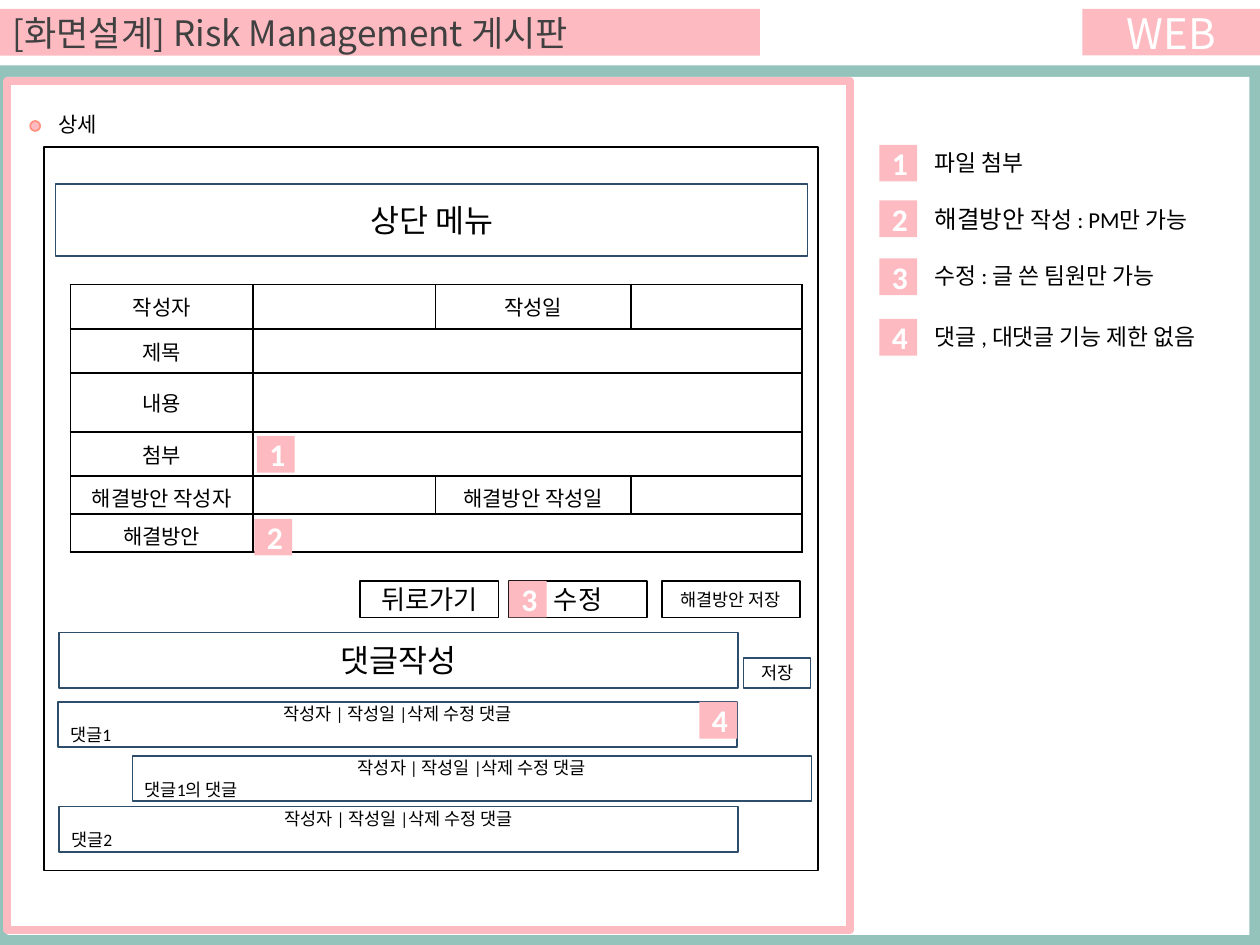
from lxml import etree
from pptx import Presentation
from pptx.dml.color import RGBColor
from pptx.enum import shapes, text
from pptx.oxml import ns
from pptx.util import Cm, Pt

TEAL = RGBColor(0x94, 0xC3, 0xBB)
PINK = RGBColor(0xFD, 0xBB, 0xC1)
CORAL = RGBColor(0xFE, 0x90, 0x7E)
NAVY = RGBColor(0x2D, 0x4D, 0x6A)
GREY = RGBColor(0x40, 0x40, 0x40)
BLACK = RGBColor(0, 0, 0)
WHITE = RGBColor(255, 255, 255)
BODY_FONT, KOREAN_FONT = "Calibri", "Noto Sans CJK KR"
LEFT, CENTER = text.PP_ALIGN.LEFT, text.PP_ALIGN.CENTER
RECT, OVAL = shapes.MSO_SHAPE.RECTANGLE, shapes.MSO_SHAPE.OVAL

TITLE = "[화면설계] Risk Management 게시판"
COMMENT_HEADER = "작성자 | 작성일 |삭제 수정 댓글"
COLUMNS = [3.68, 3.68, 3.94, 3.45]
ROWS = [
    (0.89, ["작성자", "", "작성일", ""]),
    (0.89, ["제목", ""]),
    (1.19, ["내용", ""]),
    (0.89, ["첨부", ""]),
    (0.76, ["해결방안 작성자", "", "해결방안 작성일", ""]),
    (0.76, ["해결방안", ""]),
]
BUTTONS = [(7.26, "뒤로가기", 15), (10.26, "수정", 15), (13.34, "해결방안 저장", 10)]
PANELS = [
    ((1.12, 3.71, 15.16, 1.45), "상단 메뉴", 18),
    ((1.19, 12.75, 13.69, 1.12), "댓글작성", 18),
    ((14.99, 13.26, 1.35, 0.61), "저장", 10),
]
COMMENTS = [
    (1.17, 14.15, "댓글1"),
    (2.67, 15.24, "댓글1의 댓글"),
    (1.19, 16.26, "댓글2"),
]
LEGEND = [
    (2.92, [("파일 첨부", 13)]),
    (4.04, [("해결방안 ", 14), ("작성 : PM만 가능", 13)]),
    (5.21, [("수정 : 글 쓴 팀원만 가능", 13)]),
    (6.43, [("댓글 , 대댓글 기능 제한 없음", 13)]),
]
MARKERS = [(5.18, 8.79), (5.13, 10.46), (10.26, 11.71), (14.1, 14.15)]


def write(frame, lines, size=12, color=BLACK, font=BODY_FONT, bold=False,
          aligns=(CENTER,), anchor=text.MSO_ANCHOR.MIDDLE):
    frame.word_wrap = True
    frame.vertical_anchor = anchor
    for index, line in enumerate(lines):
        para = frame.paragraphs[0] if index == 0 else frame.add_paragraph()
        para.alignment = aligns[index]
        for words, points in [(line, size)] if isinstance(line, str) else line:
            span = para.add_run()
            span.text = words
            span.font.name = font
            span.font.size = Pt(points)
            span.font.bold = bold
            span.font.color.rgb = color
            east = etree.SubElement(span.font._element, ns.qn("a:ea"))
            east.set("typeface", KOREAN_FONT)


def add_box(parent, place, fill=WHITE, line=None, width=1, kind=RECT):
    box = parent.add_shape(kind, *map(Cm, place))
    box.shadow.inherit = False
    if fill is None:
        box.fill.background()
    else:
        box.fill.solid()
        box.fill.fore_color.rgb = fill
    if line is None:
        box.line.fill.background()
    else:
        box.line.color.rgb = line
        box.line.width = Pt(width)
    return box


def add_label(page, place, line):
    label = page.shapes.add_textbox(*map(Cm, place))
    write(label.text_frame, [line], aligns=(LEFT,), anchor=text.MSO_ANCHOR.TOP)


def add_badge(page, left, top, number):
    badge = add_box(page.shapes, (left, top, 0.76, 0.74), PINK)
    write(badge.text_frame, [str(number)], size=18, color=WHITE, bold=True)


def style_cell(cell, words):
    properties = cell._tc.get_or_add_tcPr()
    for side in ("lnL", "lnR", "lnT", "lnB"):
        border = etree.SubElement(properties, ns.qn("a:" + side), w=str(Pt(1)))
        paint = etree.SubElement(border, ns.qn("a:solidFill"))
        etree.SubElement(paint, ns.qn("a:srgbClr"), val=str(BLACK))
    cell.fill.solid()
    cell.fill.fore_color.rgb = WHITE
    cell.vertical_anchor = text.MSO_ANCHOR.MIDDLE
    if words:
        write(cell.text_frame, [words])
    else:
        para = cell.text_frame.paragraphs[0]
        etree.SubElement(para._p, ns.qn("a:endParaRPr"), sz="1200")


def add_form(page):
    height = sum(row[0] for row in ROWS)
    place = map(Cm, (1.42, 5.74, sum(COLUMNS), height))
    table = page.shapes.add_table(len(ROWS), len(COLUMNS), *place).table
    table.first_row = table.horz_banding = False
    for column, width in zip(table.columns, COLUMNS):
        column.width = Cm(width)
    for index, (height, labels) in enumerate(ROWS):
        table.rows[index].height = Cm(height)
        padded = labels + [""] * (len(COLUMNS) - len(labels))
        for number, words in enumerate(padded):
            style_cell(table.cell(index, number), words)
        if len(labels) == 2:
            table.cell(index, 1).merge(table.cell(index, len(COLUMNS) - 1))


def add_title(page):
    title = page.shapes.title
    title.left, title.top, title.width, title.height = map(Cm, (0, 0.18, 15.32, 0.94))
    title.fill.solid()
    title.fill.fore_color.rgb = PINK
    title.text_frame.auto_size = text.MSO_AUTO_SIZE.NONE
    write(title.text_frame, [TITLE], size=20, color=GREY, font=KOREAN_FONT, aligns=(LEFT,))


def main():
    deck = Presentation()
    deck.slide_width, deck.slide_height = Cm(25.4), Cm(19.05)
    page = deck.slides.add_slide(deck.slide_layouts[5])
    add_title(page)

    backdrop = page.shapes.add_group_shape().shapes
    add_box(backdrop, (0, 1.32, 25.4, 17.73), TEAL)
    add_box(backdrop, (0.15, 1.55, 25.04, 17.3))
    add_box(backdrop, (0.15, 1.63, 16.99, 17.12), None, PINK, 4.5)

    platform = add_box(page.shapes, (21.82, 0.18, 3.58, 0.94), PINK)
    write(platform.text_frame, ["WEB"], size=24, color=WHITE, font=KOREAN_FONT)
    add_box(page.shapes, (0.61, 2.44, 0.2, 0.2), PINK, CORAL, kind=OVAL)
    add_label(page, (0.84, 2.13, 9.8, 0.76), " 상세")

    add_box(page.shapes, (0.89, 2.97, 15.6, 14.58), line=BLACK)
    add_form(page)
    for place, words, size in PANELS:
        panel = add_box(page.shapes, place, line=NAVY)
        write(panel.text_frame, [words], size=size)
    for left, words, size in BUTTONS:
        button = add_box(page.shapes, (left, 11.71, 2.79, 0.74), line=BLACK)
        write(button.text_frame, [words], size=size)
    for left, top, words in COMMENTS:
        comment = add_box(page.shapes, (left, top, 13.69, 0.91), line=NAVY)
        write(comment.text_frame, [COMMENT_HEADER, words], size=10, aligns=(CENTER, LEFT))

    for number, (left, top) in enumerate(MARKERS, 1):
        add_badge(page, left, top, number)
    for number, (top, line) in enumerate(LEGEND, 1):
        add_badge(page, 17.73, top, number)
        add_label(page, (18.59, top - 0.05, 6.32, 0.81), line)

    deck.save("out.pptx")


if __name__ == "__main__":
    main()
